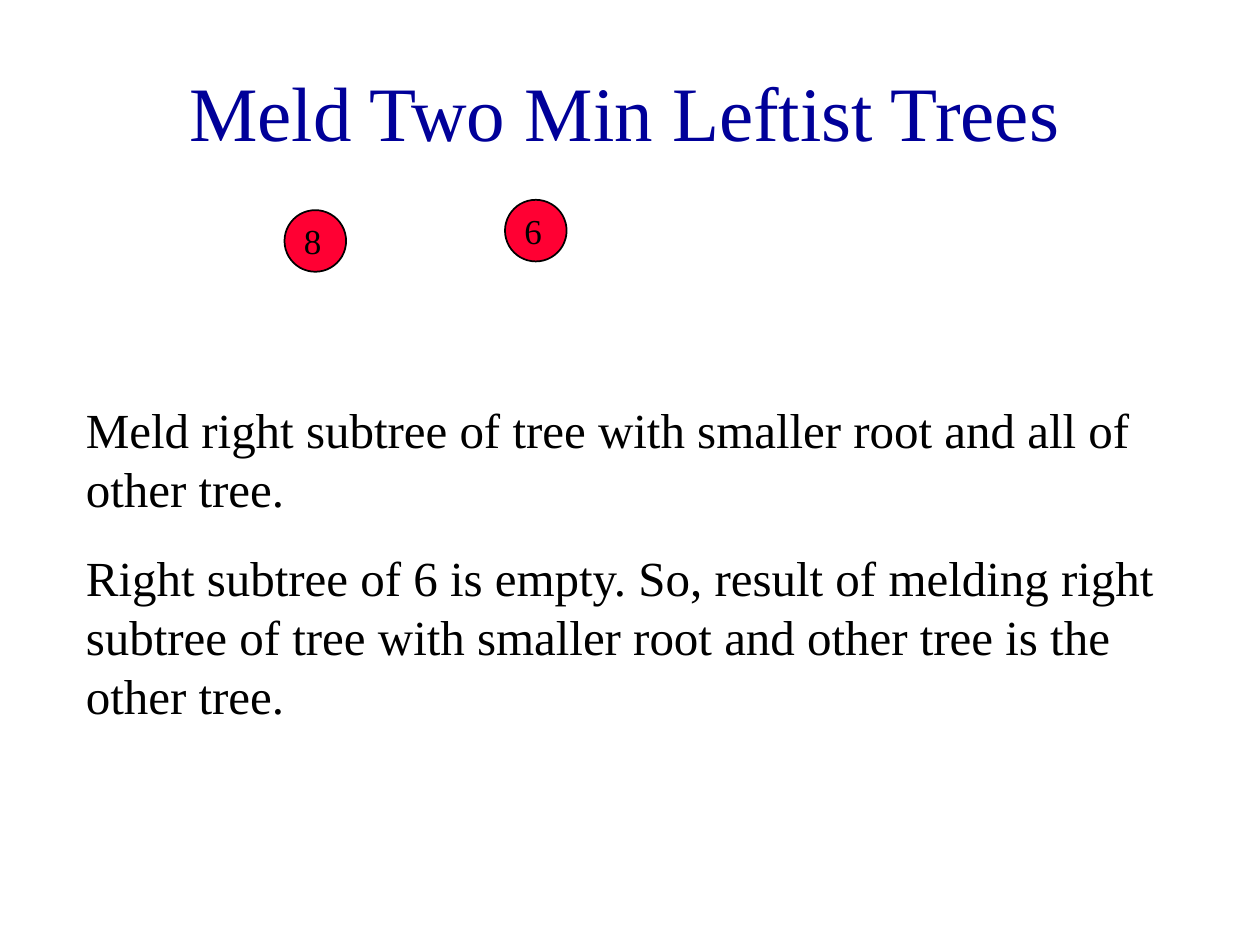
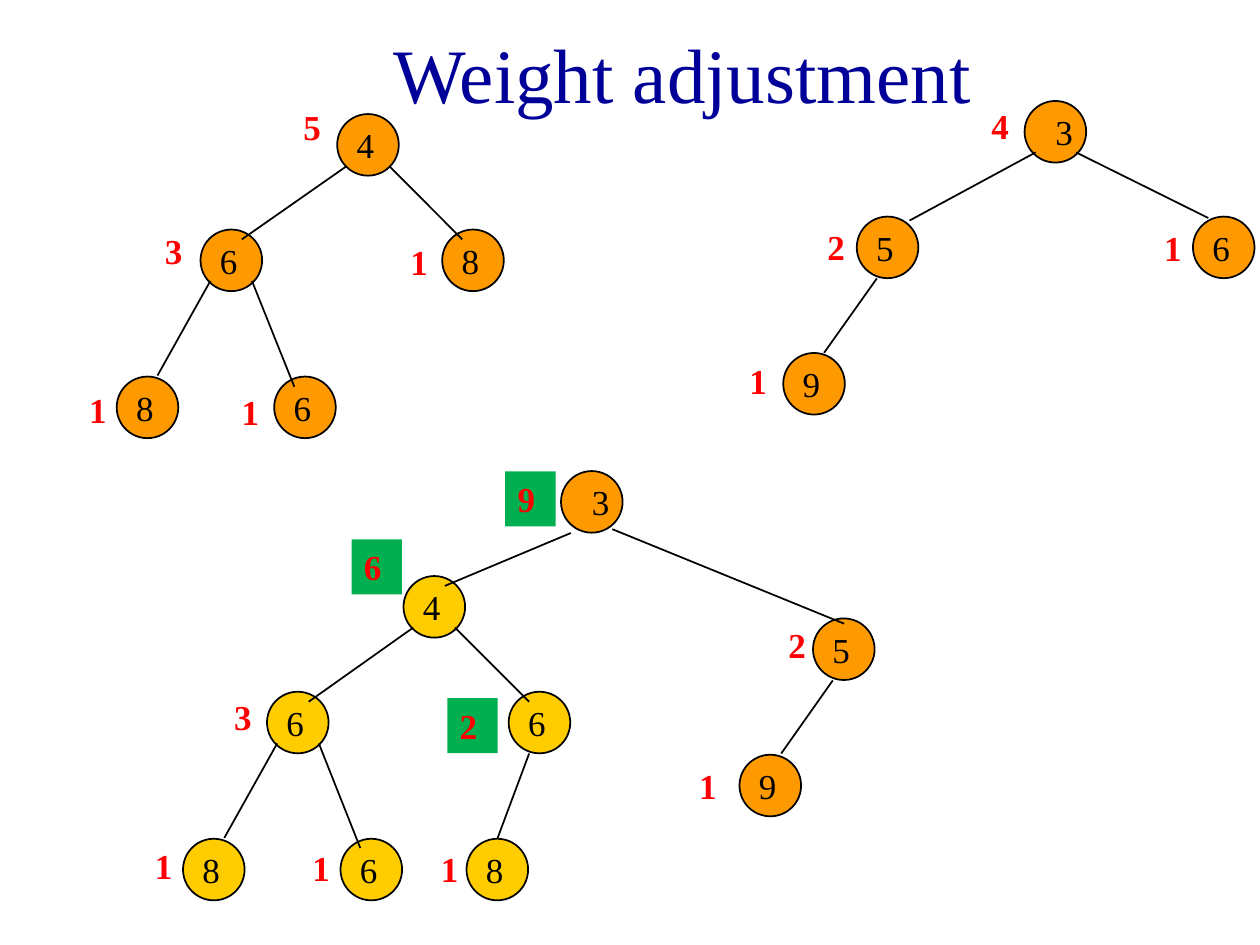
from lxml import etree
from pptx import Presentation
from pptx.dml.color import RGBColor
from pptx.enum.shapes import MSO_CONNECTOR, MSO_SHAPE
from pptx.enum.text import MSO_ANCHOR, MSO_AUTO_SIZE, PP_ALIGN
from pptx.oxml.ns import qn
from pptx.util import Pt

FONT = "Times New Roman"
COLORS = {
    "title": "000099",
    "ink": "000000",
    "red": "FF0033",
    "orange": "FF9900",
    "gold": "FFCC00",
    "weight": "FF0000",
    "changed": "00B050",
}
NODE_SIZE = 35.2
LABEL_SHIFT = 4
ROOT_LABEL_SHIFT = 10.5

# Nodes: label, left, top, fill, label shift
MELD_NODES = [
    ("8", 162.6, 120.1, "red", LABEL_SHIFT),
    ("6", 288.6, 114.2, "red", LABEL_SHIFT),
]
WEIGHT_NODES = [
    ("4", 192.7, 65.2, "orange", LABEL_SHIFT),
    ("6", 114.6, 131.2, "orange", LABEL_SHIFT),
    ("8", 252.7, 131.2, "orange", LABEL_SHIFT),
    ("8", 66.7, 215.2, "orange", LABEL_SHIFT),
    ("6", 156.7, 215.2, "orange", LABEL_SHIFT),
    ("3", 585.5, 57.7, "orange", ROOT_LABEL_SHIFT),
    ("5", 489.6, 123.8, "orange", LABEL_SHIFT),
    ("6", 681.7, 123.8, "orange", LABEL_SHIFT),
    ("9", 447.6, 201.7, "orange", LABEL_SHIFT),
    ("3", 320.6, 269.2, "orange", ROOT_LABEL_SHIFT),
    ("5", 464.6, 353.4, "orange", LABEL_SHIFT),
    ("9", 422.6, 431.3, "orange", LABEL_SHIFT),
    ("4", 230.6, 329.2, "gold", LABEL_SHIFT),
    ("6", 152.6, 395.3, "gold", LABEL_SHIFT),
    ("6", 290.7, 395.3, "gold", LABEL_SHIFT),
    ("8", 104.6, 479.3, "gold", LABEL_SHIFT),
    ("6", 194.6, 479.3, "gold", LABEL_SHIFT),
    ("8", 266.6, 479.3, "gold", LABEL_SHIFT),
]
# Edges: parent x, parent y, child x, child y
EDGES = [
    (198, 95, 138.2, 136.8),
    (222.5, 95, 264.2, 136.8),
    (120.2, 160.6, 90, 214.6),
    (144, 160.6, 168.2, 221),
    (591.8, 87.1, 519.8, 126),
    (614.9, 87.1, 690.5, 124.6),
    (501.1, 159.1, 470.9, 201.6),
    (326.2, 304.6, 254.2, 334.8),
    (349.9, 302.4, 482.4, 356.4),
    (475.9, 388.8, 446.4, 430.6),
    (236.2, 358.6, 176.4, 401),
    (259.9, 358.6, 302.4, 401),
    (158.4, 424.8, 128.2, 478.8),
    (182.2, 424.8, 205.9, 484.6),
    (302.4, 430.6, 284.4, 478.8),
]
# Weights: value, left, top
WEIGHTS = [
    ("5", 166.3, 56.9), ("3", 87.1, 127.4), ("1", 43.9, 218.2),
    ("1", 131, 219.6), ("1", 227.5, 133.9), ("4", 559.4, 56.2),
    ("2", 465.8, 125.3), ("1", 421.2, 201.6), ("1", 658.1, 126),
    ("2", 443.5, 352.8), ("1", 392.4, 433.4), ("3", 126.7, 393.8),
    ("1", 81.4, 478.8), ("1", 171.4, 480.2), ("1", 244.8, 481),
]
CHANGED_WEIGHTS = [
    ("2", 255.6, 398.9), ("6", 200.9, 308.2), ("9", 288.7, 269.3),
]


def color(name):
    return RGBColor.from_string(COLORS[name])


def add_text(page, paragraphs, left, top, width, height, size,
             ink="ink", bold=False, wrap=True):
    box = page.shapes.add_textbox(Pt(left), Pt(top), Pt(width), Pt(height))
    frame = box.text_frame
    frame.text = "\n".join(paragraphs)
    frame.word_wrap = wrap
    frame.auto_size = MSO_AUTO_SIZE.SHAPE_TO_FIT_TEXT
    for para in frame.paragraphs:
        for span in para.runs:
            span.font.name = FONT
            span.font.size = Pt(size)
            span.font.bold = bold
            span.font.color.rgb = color(ink)
    return box


def add_title(page, text, left, top, width):
    box = add_text(page, [text], left, top, width, 90, 44, "title")
    frame = box.text_frame
    frame.auto_size = MSO_AUTO_SIZE.NONE
    frame.vertical_anchor = MSO_ANCHOR.MIDDLE
    frame.paragraphs[0].alignment = PP_ALIGN.CENTER


def add_circle(page, left, top, fill):
    circle = page.shapes.add_shape(
        MSO_SHAPE.OVAL, Pt(left), Pt(top), Pt(NODE_SIZE), Pt(NODE_SIZE))
    circle.shadow.inherit = False
    circle.fill.solid()
    circle.fill.fore_color.rgb = color(fill)
    circle.line.color.rgb = color("ink")
    circle.line.width = Pt(1)


def add_edge(page, *ends):
    edge = page.shapes.add_connector(
        MSO_CONNECTOR.STRAIGHT, *[Pt(value) for value in ends])
    edge.line.color.rgb = color("ink")
    edge.line.width = Pt(1)
    etree.SubElement(edge.element.spPr, qn("a:effectLst"))


def add_trees(page, nodes, edges=()):
    """Draw circles first, then edges over them, then the node labels."""
    for label, left, top, fill, shift in nodes:
        add_circle(page, left, top, fill)
    for edge in edges:
        add_edge(page, *edge)
    for label, left, top, fill, shift in nodes:
        add_text(page, [label], left + shift, top + 2, 24.4, 31, 20, wrap=False)


def add_weight(page, value, left, top):
    return add_text(page, [value], left, top, 28.8, 31.5, 20, "weight", bold=True)


def add_changed_weight(page, value, left, top):
    box = add_weight(page, value, left, top)
    box.fill.solid()
    box.fill.fore_color.rgb = color("changed")


def build_meld(page):
    add_title(page, "Meld Two Min Leftist Trees", 6, 18, 702)
    add_trees(page, MELD_NODES)
    steps = add_text(page, [
        "Meld right subtree of tree with smaller root and all of other tree.",
        "Right subtree of 6 is empty. So, result of melding right subtree of "
        "tree with smaller root and other tree is the other tree.",
    ], 42, 224.6, 630, 193, 28)
    steps.text_frame.paragraphs[1].space_before = Pt(17.5)


def build_weight_adjustment(page):
    add_title(page, "Weight adjustment", 84, -3.6, 612)
    add_trees(page, WEIGHT_NODES, EDGES)
    for weight in WEIGHTS:
        add_weight(page, *weight)
    for weight in CHANGED_WEIGHTS:
        add_changed_weight(page, *weight)


def main():
    deck = Presentation()
    deck.slide_width, deck.slide_height = Pt(720), Pt(540)
    for build in (build_meld, build_weight_adjustment):
        build(deck.slides.add_slide(deck.slide_layouts[6]))
    deck.save("out.pptx")


if __name__ == "__main__":
    main()
